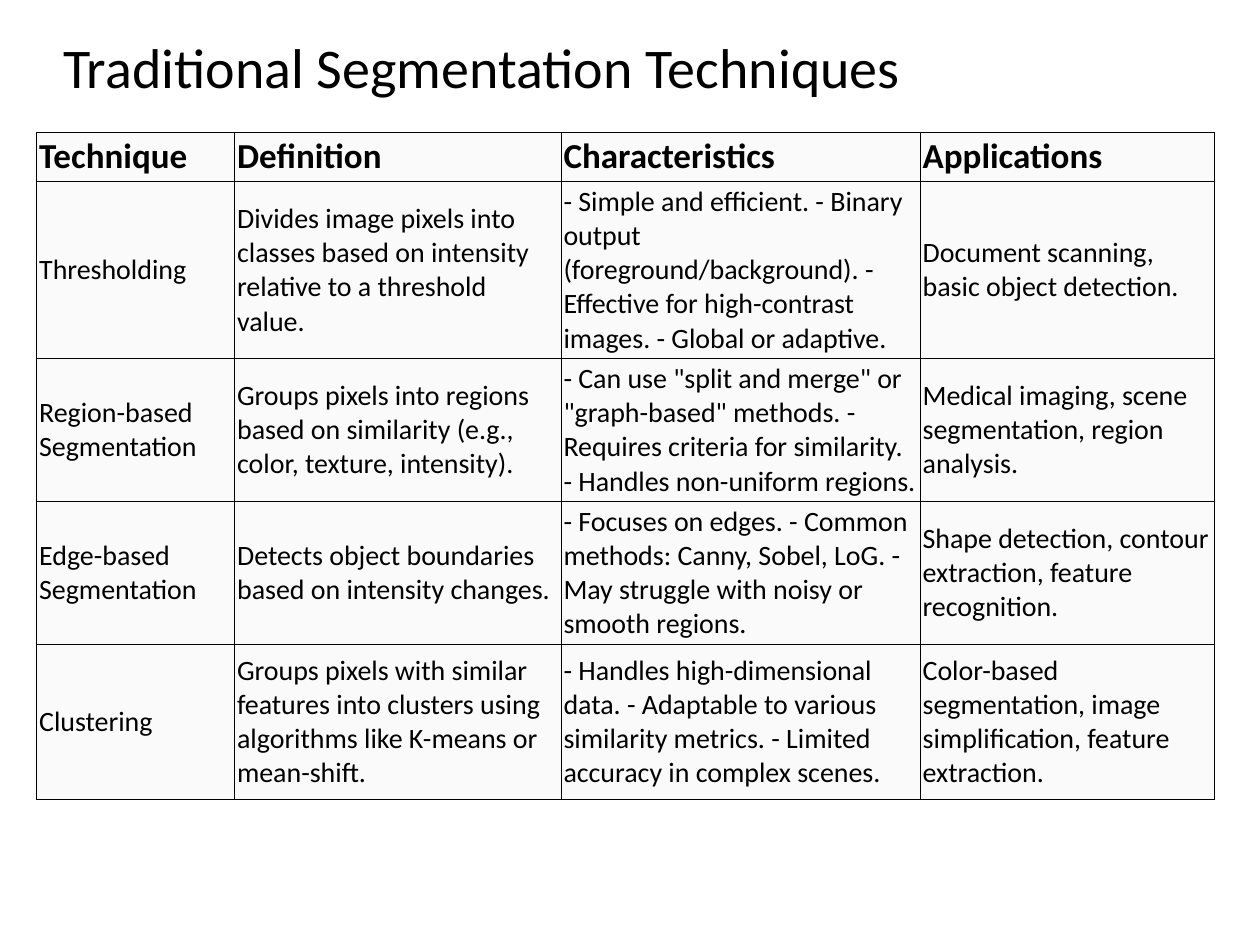
"""Build a slide with a table of traditional segmentation techniques."""
from lxml import etree
from pptx import Presentation
from pptx.dml.color import RGBColor
from pptx.enum.text import MSO_ANCHOR, MSO_AUTO_SIZE, PP_ALIGN
from pptx.oxml.ns import qn
from pptx.util import Cm, Pt

MIDDLE = MSO_ANCHOR.MIDDLE
FIXED = MSO_AUTO_SIZE.NONE
LEFT = PP_ALIGN.LEFT

TITLE = "Traditional Segmentation Techniques"
ROWS = [
    ("Technique", "Definition", "Characteristics", "Applications"),
    (
        "Thresholding",
        "Divides image pixels into classes based on intensity relative to a threshold value.",
        "- Simple and efficient. - Binary output (foreground/background). "
        "- Effective for high-contrast images. - Global or adaptive.",
        "Document scanning, basic object detection.",
    ),
    (
        "Region-based Segmentation",
        "Groups pixels into regions based on similarity (e.g., color, texture, intensity).",
        '- Can use "split and merge" or "graph-based" methods. '
        "- Requires criteria for similarity. - Handles non-uniform regions.",
        "Medical imaging, scene segmentation, region analysis.",
    ),
    (
        "Edge-based Segmentation",
        "Detects object boundaries based on intensity changes.",
        "- Focuses on edges. - Common methods: Canny, Sobel, LoG. "
        "- May struggle with noisy or smooth regions.",
        "Shape detection, contour extraction, feature recognition.",
    ),
    (
        "Clustering",
        "Groups pixels with similar features into clusters using algorithms "
        "like K-means or mean-shift.",
        "- Handles high-dimensional data. - Adaptable to various similarity metrics. "
        "- Limited accuracy in complex scenes.",
        "Color-based segmentation, image simplification, feature extraction.",
    ),
]
WIDTHS = [3.99, 6.58, 7.24, 5.94]
HEIGHTS = [0.99, 3.57, 2.88, 2.88, 3.12]
COLORS = {"text": "000000", "line": "000000", "cell": "FAFAFA"}
FONT = "Calibri"
HEAD = {"name": FONT, "size": Pt(20), "bold": True}
BODY = {"name": FONT, "size": Pt(16), "bold": False}
TOP = {"name": FONT, "size": Pt(32), "bold": False}
PAD = Cm(0.05)
CELL = {
    "vertical_anchor": MIDDLE,
    "margin_left": PAD,
    "margin_right": PAD,
    "margin_top": PAD,
    "margin_bottom": PAD,
}
PLACE = {"left": Cm(1.02), "top": Cm(0.53), "width": Cm(21.89), "height": Cm(1.78)}
FRAME = {"vertical_anchor": MIDDLE, "auto_size": FIXED, "word_wrap": True}
PARA = {"alignment": LEFT, "line_spacing": 0.9}


def apply(item, values):
    for name, value in values.items():
        setattr(item, name, value)


def write(frame, text, style):
    frame.text = text
    font = frame.paragraphs[0].runs[0].font
    apply(font, style)
    font.color.rgb = RGBColor.from_string(COLORS["text"])


def border(cell):
    props = cell._tc.get_or_add_tcPr()
    for spot, side in enumerate(("lnL", "lnR", "lnT", "lnB")):
        line = etree.Element(qn(f"a:{side}"), w=str(Pt(0.6)))
        fill = etree.SubElement(line, qn("a:solidFill"))
        etree.SubElement(fill, qn("a:srgbClr"), val=COLORS["line"])
        props.insert(spot, line)


def main():
    deck = Presentation()
    apply(deck, {"slide_width": Cm(25.4), "slide_height": Cm(19.05)})
    slide = deck.slides.add_slide(deck.slide_layouts[5])

    title = slide.shapes.title
    apply(title, PLACE)
    write(title.text_frame, TITLE, TOP)
    apply(title.text_frame, FRAME)
    apply(title.text_frame.paragraphs[0], PARA)

    table = slide.shapes.add_table(
        len(ROWS), len(WIDTHS), Cm(0.74), Cm(2.67), Cm(sum(WIDTHS)), Cm(sum(HEIGHTS))
    ).table
    apply(table, {"first_row": False, "horz_banding": False})
    for col, width in zip(table.columns, WIDTHS):
        col.width = Cm(width)
    for index, (row, height, texts) in enumerate(zip(table.rows, HEIGHTS, ROWS)):
        row.height = Cm(height)
        for cell, text in zip(row.cells, texts):
            apply(cell, CELL)
            write(cell.text_frame, text, BODY if index else HEAD)
            cell.fill.solid()
            cell.fill.fore_color.rgb = RGBColor.from_string(COLORS["cell"])
            border(cell)

    deck.save("out.pptx")


if __name__ == "__main__":
    main()
